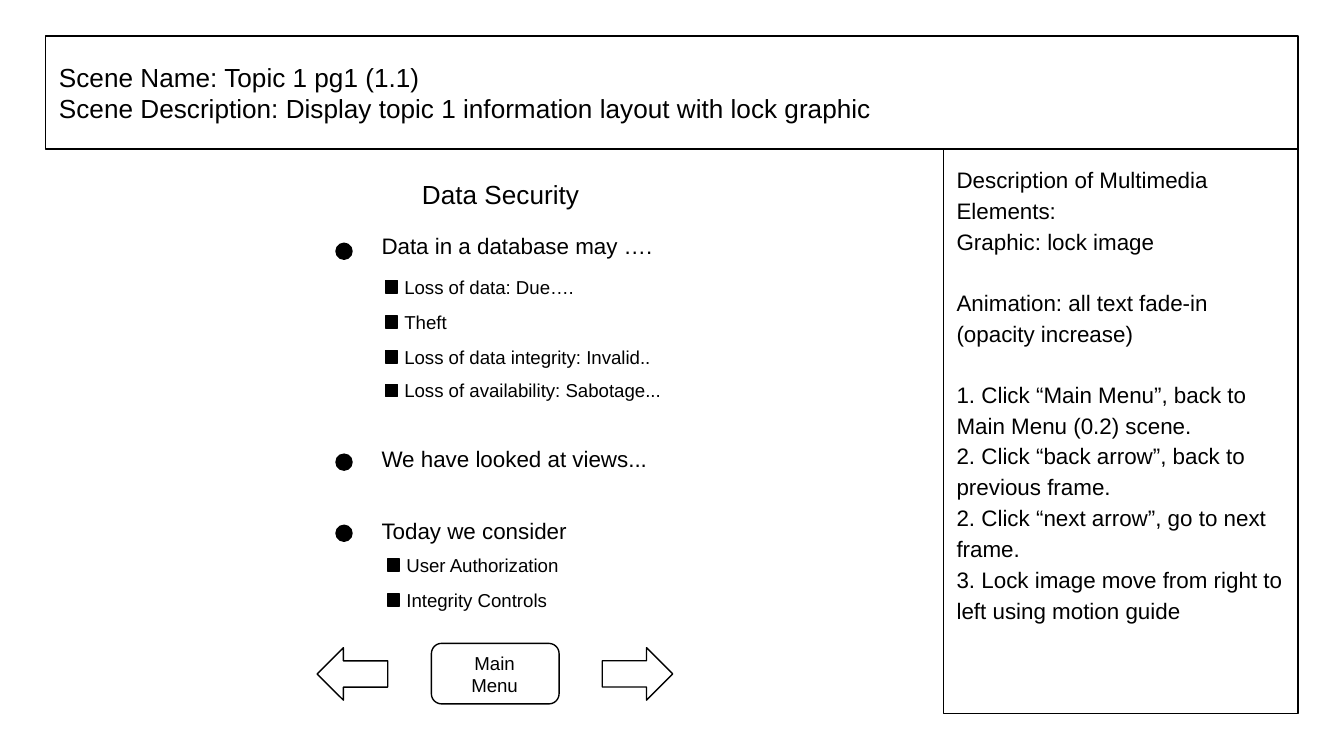
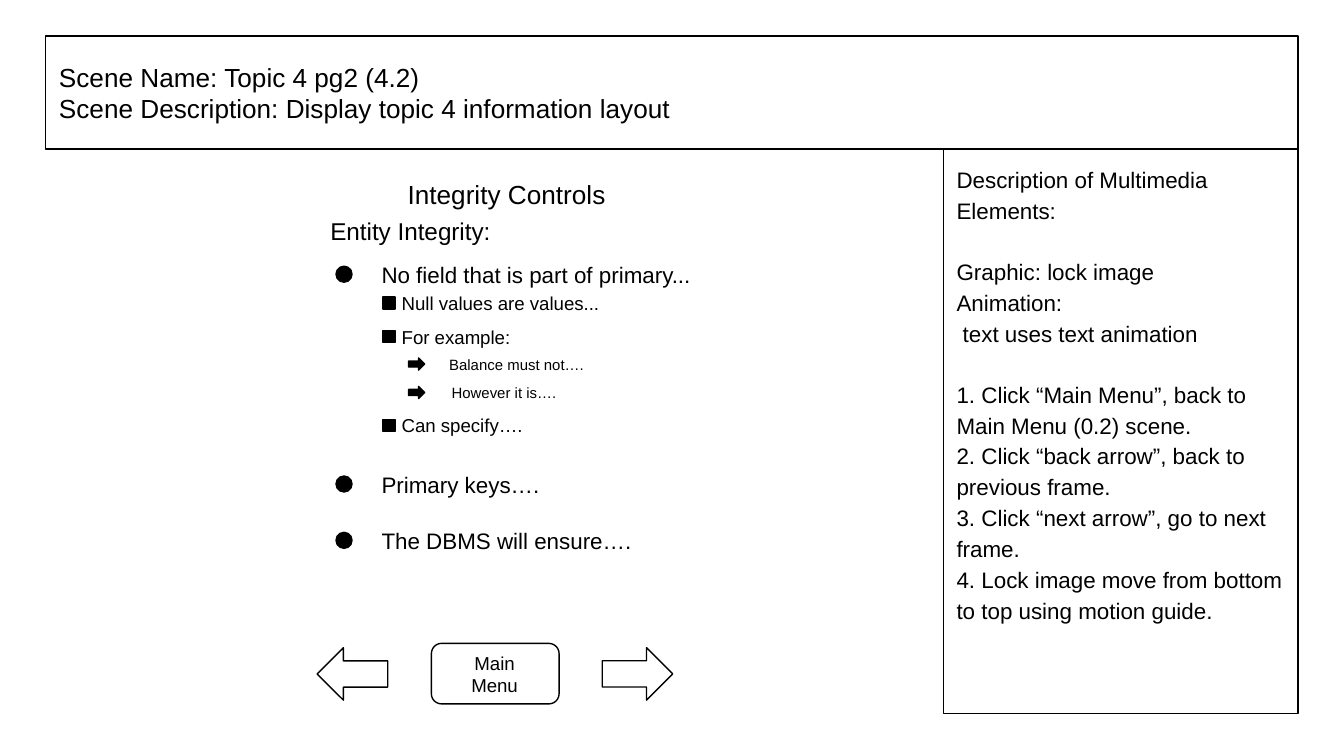
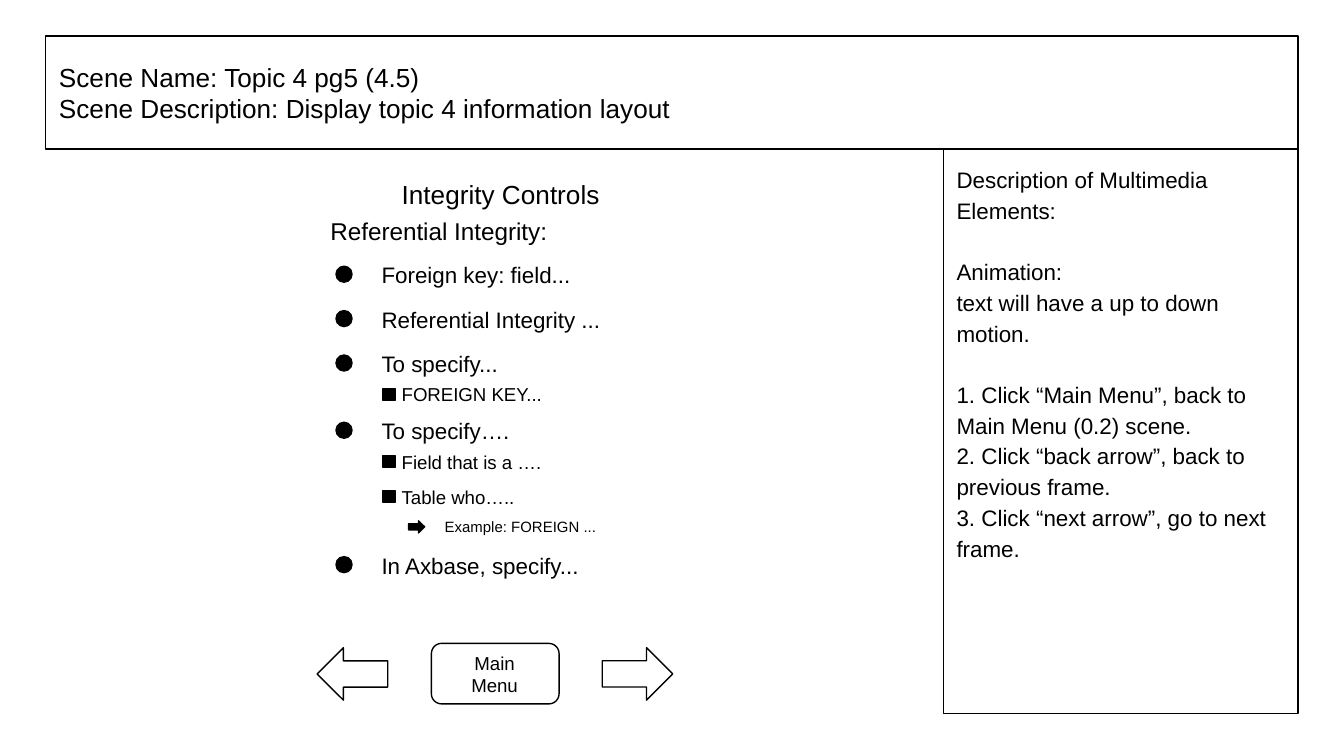
from pptx import Presentation
from pptx.dml.color import RGBColor
from pptx.enum.shapes import MSO_SHAPE
from pptx.enum.text import MSO_ANCHOR, PP_ALIGN
from pptx.util import Pt

RECT = MSO_SHAPE.RECTANGLE
ROUND = MSO_SHAPE.ROUNDED_RECTANGLE
OVAL = MSO_SHAPE.OVAL
ARROW = MSO_SHAPE.RIGHT_ARROW
TOP, MID = MSO_ANCHOR.TOP, MSO_ANCHOR.MIDDLE
LEFT, MIDST = PP_ALIGN.LEFT, PP_ALIGN.CENTER

INK = {"black": "000000"}
BLACK = RGBColor.from_string(INK["black"])
FONT = "Arial"
INSET = Pt(7.2)
GAP = Pt(16)

MARKS = {
    "dot": {"form": OVAL, "mark": (180, 8, 8.6, 8.6), "text": (197.3, 252.7, 25.2), "size": 12},
    "box": {"form": RECT, "mark": (205.2, 5, 6.5, 6.5), "text": (208.1, 252.7, 16.6), "size": 10},
    "hand": {"form": ARROW, "mark": (218.9, 3.2, 8.6, 6.5), "text": (231.1, 107.3, 13), "size": 8},
}

CLICKS = [
    "1. Click “Main Menu”, back to Main Menu (0.2) scene.",
    "2. Click “back arrow”, back to previous frame.",
]
NEXT = "Click “next arrow”, go to next frame."
LEAD = "Description of Multimedia Elements:"

SCENES = [
    {
        "name": "Topic 1 pg1 (1.1)",
        "about": "Display topic 1 information layout with lock graphic",
        "title": ("Data Security", 218.9, 98.6, MIDST),
        "notes": [
            [LEAD, "Graphic: lock image"],
            ["Animation: all text fade-in (opacity increase)"],
            CLICKS + ["2. " + NEXT, "3. Lock image move from right to left using motion guide"],
        ],
        "rows": [
            ("dot", 118.8, "Data in a database may ….", {"drop": 3.5, "wide": 172.1}),
            ("box", 145.4, "Loss of data: Due….", {"shift": 1.4}),
            ("box", 164.2, "Theft", {"shift": 1.4}),
            ("box", 182.9, "Loss of data integrity: Invalid..", {"shift": 1.4}),
            ("box", 200.9, "Loss of availability: Sabotage...", {"shift": 1.4}),
            ("dot", 233.3, "We have looked at views...", {"drop": 2}),
            ("dot", 271.4, "Today we consider", {"drop": 2}),
            ("box", 294.5, "User Authorization", {"shift": 2.5}),
            ("box", 313.2, "Integrity Controls", {"shift": 2.5}),
        ],
    },
    {
        "name": "Topic 4 pg2 (4.2)",
        "about": "Display topic 4 information layout",
        "title": ("Integrity Controls", 201.6, 139.7, MIDST),
        "topic": ("Entity Integrity:", 103.7),
        "notes": [
            [LEAD],
            ["Graphic: lock image", "Animation:", " text uses text animation"],
            CLICKS + ["3. " + NEXT, "4. Lock image move from bottom to top using motion guide."],
        ],
        "rows": [
            ("dot", 134.6, "No field that is part of primary...", {}),
            ("box", 154.1, "Null values are values...", {}),
            ("box", 172.1, "For example:", {}),
            ("hand", 188.6, "Balance must not….", {"wide": 91.4, "align": MIDST}),
            ("hand", 203.8, "However it is….", {"wide": 77.8, "align": MIDST}),
            ("box", 219.6, "Can specify….", {}),
            ("dot", 247, "Primary keys….", {}),
            ("dot", 277.2, "The DBMS will ensure….", {}),
        ],
    },
    {
        "name": "Topic 4 pg5 (4.5)",
        "about": "Display topic 4 information layout",
        "title": ("Integrity Controls", 208.1, 137.5, LEFT),
        "topic": ("Referential Integrity:", 137.5),
        "notes": [
            [LEAD],
            ["Animation:", "text will have a up to down motion."],
            CLICKS + ["3. " + NEXT],
        ],
        "rows": [
            ("dot", 134.6, "Foreign key: field...", {}),
            ("dot", 158.4, "Referential Integrity ...", {}),
            ("dot", 182.2, "To specify...", {}),
            ("box", 203, "FOREIGN KEY...", {}),
            ("dot", 218.2, "To specify….", {}),
            ("box", 239, "Field that is a ….", {}),
            ("box", 257.8, "Table who…..", {}),
            ("hand", 275.8, "Example: FOREIGN ...", {}),
            ("dot", 290.2, "In Axbase, specify...", {}),
        ],
    },
]


def draw(slide, form, at, solid=False):
    shape = slide.shapes.add_shape(form, *[Pt(n) for n in at])
    shape.shadow.inherit = False
    shape.line.color.rgb = BLACK
    shape.line.width = Pt(0.75)
    if solid:
        shape.fill.solid()
        shape.fill.fore_color.rgb = BLACK
    else:
        shape.fill.background()
    return shape


def write(shape, groups, size, align=LEFT, anchor=MID, space=1.0):
    frame = shape.text_frame
    look = {"word_wrap": True, "vertical_anchor": anchor}
    for side in ("left", "right", "top", "bottom"):
        look["margin_" + side] = INSET
    for key, value in look.items():
        setattr(frame, key, value)
    lines = [(line, g and not i) for g, group in enumerate(groups) for i, line in enumerate(group)]
    for i, (line, apart) in enumerate(lines):
        para = frame.add_paragraph() if i else frame.paragraphs[0]
        para.alignment = align
        para.line_spacing = space
        if apart:
            para.space_before = GAP
        run = para.add_run()
        run.text = line
        for key, value in {"name": FONT, "size": Pt(size)}.items():
            setattr(run.font, key, value)
        run.font.color.rgb = BLACK


deck = Presentation()
deck.slide_width, deck.slide_height = Pt(720), Pt(405)

for scene in SCENES:
    slide = deck.slides.add_slide(deck.slide_layouts[6])

    head = draw(slide, RECT, (24.5, 19.4, 671, 60.5))
    write(head, [["Scene Name: " + scene["name"], "Scene Description: " + scene["about"]]], 14)
    panel = draw(slide, RECT, (505.4, 79.9, 190.1, 302.4))
    write(panel, scene["notes"], 12, anchor=TOP, space=1.15)

    draw(slide, ARROW, (322.6, 347, 37.8, 28.1))
    back = draw(slide, ARROW, (169.9, 347, 37.8, 28.1))
    back.rotation = 180
    draw(slide, ROUND, (231.1, 344.7, 68.4, 32.4))

    title, left, wide, align = scene["title"]
    texts = [
        (title, (left, 87.8, wide, 32.4), 14, align, MID),
        ("Main Menu", (237.6, 351.4, 54.7, 19.4), 10, MIDST, MID),
    ]
    if "topic" in scene:
        topic, wide = scene["topic"]
        texts.append((topic, (169.9, 108.7, wide, 28.1), 13, LEFT, TOP))

    for kind, top, words, extra in scene["rows"]:
        style = MARKS[kind]
        shift = extra.get("shift", 0)
        left, drop, wide, high = style["mark"]
        draw(slide, style["form"], (left + shift, top + drop + extra.get("drop", 0), wide, high), True)
        left, wide, high = style["text"]
        at = (left + shift, top, extra.get("wide", wide), high)
        texts.append((words, at, style["size"], extra.get("align", LEFT), MID))

    for words, at, size, align, anchor in texts:
        label = slide.shapes.add_textbox(*[Pt(n) for n in at])
        write(label, [[words]], size, align, anchor)

deck.save("out.pptx")
